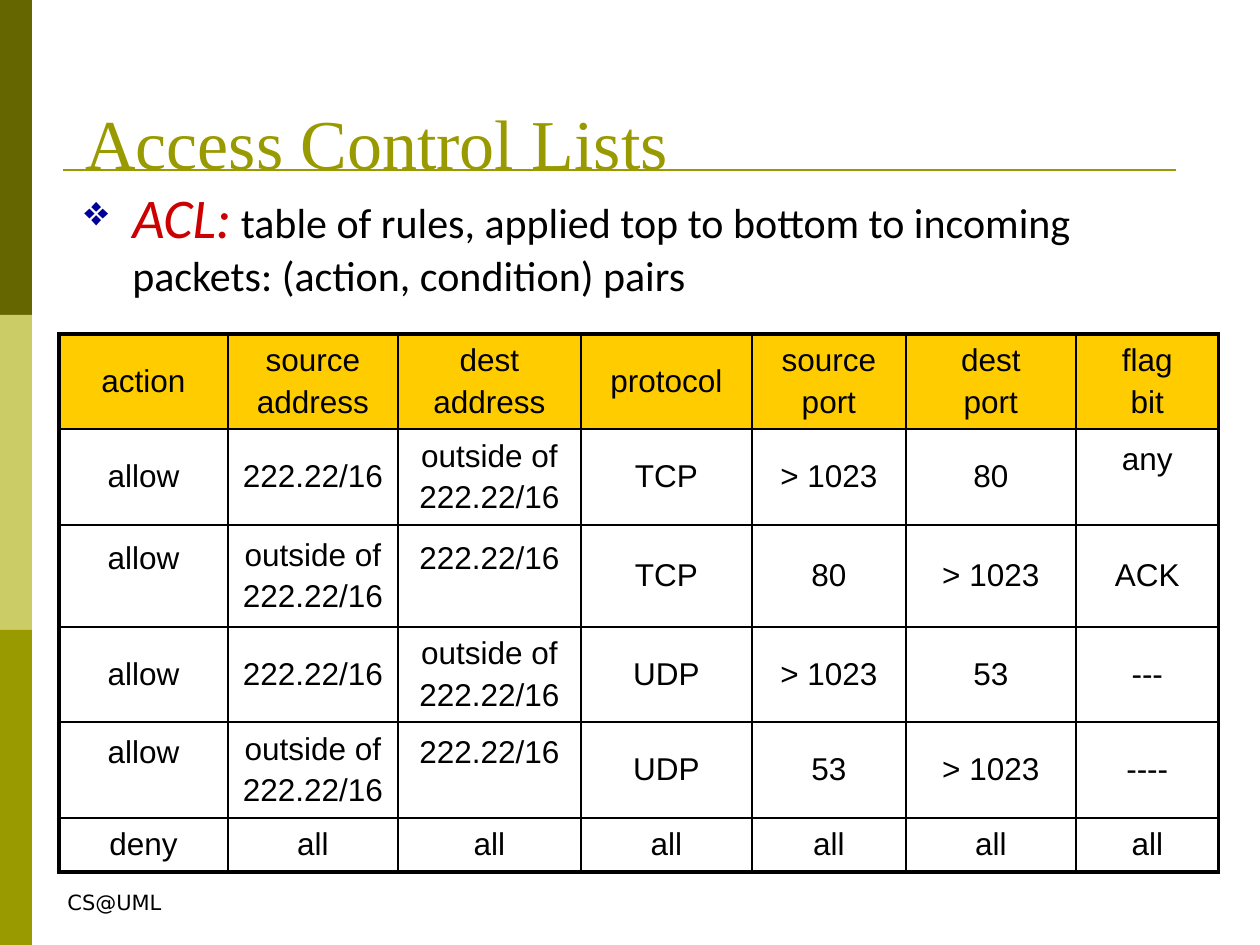
from lxml.etree import SubElement
from pptx import Presentation
from pptx.dml.color import RGBColor
from pptx.enum.shapes import MSO_CONNECTOR, MSO_SHAPE
from pptx.enum.text import MSO_ANCHOR as Anchor, MSO_AUTO_SIZE as AutoSize, PP_ALIGN as Align
from pptx.oxml.ns import qn
from pptx.util import Emu, Pt

# Colours
BLACK = RGBColor(0x00, 0x00, 0x00)
DARK_OLIVE = RGBColor(0x66, 0x66, 0x00)
PALE_OLIVE = RGBColor(0xCC, 0xCC, 0x66)
OLIVE = RGBColor(0x99, 0x99, 0x00)
GOLD = RGBColor(0xFF, 0xCC, 0x00)
RED = RGBColor(0xCC, 0x00, 0x00)
NAVY = RGBColor(0x00, 0x00, 0x99)

# Content
TITLE = "Access Control Lists"
TERM = "ACL:"
DEFINITION = "table of rules, applied top to bottom to incoming packets: (action, condition) pairs"
FOOTER = "CS@UML"
INSIDE = "222.22/16"
OUTSIDE = "outside of\n222.22/16"
RULES = [
    ["action", "source\naddress", "dest\naddress", "protocol", "source\nport", "dest\nport", "flag\nbit"],
    ["allow", INSIDE, OUTSIDE, "TCP", "> 1023", "80", "any"],
    ["allow", OUTSIDE, INSIDE, "TCP", "80", "> 1023", "ACK"],
    ["allow", INSIDE, OUTSIDE, "UDP", "> 1023", "53", "---"],
    ["allow", OUTSIDE, INSIDE, "UDP", "53", "> 1023", "----"],
    ["deny"] + ["all"] * 6,
]
RAISED = {(1, 6), (2, 0), (2, 2), (4, 0), (4, 2)}  # cells whose text sits above the middle

# Layout in px
PX = 914400 / 126
WIDTH, HEIGHT = 1260, 945
SIDEBAR = [DARK_OLIVE, PALE_OLIVE, OLIVE]
SIDEBAR_WIDTH = 32
TABLE_LEFT, TABLE_TOP = 59, 334
COLUMNS = [169, 170, 183, 171, 154, 170, 143]
ROWS = [95, 96, 102, 95, 96, 54]
RAISED_MARGIN = 42
INDENT = 48

# Text formats
TITLE_FONT = {"name": "Times New Roman", "size": Pt(40)}
TERM_FONT = {"name": "Calibri", "size": Pt(32), "italic": True}
BODY_FONT = {"name": "Calibri", "size": Pt(24)}
FOOTER_FONT = {"name": "DejaVu Sans", "size": Pt(12)}
CELL_FONT = {"name": "Arial", "size": Pt(18)}


def px(length):
    return Emu(round(length * PX))


def add_span(para, text, formats, colour=BLACK):
    span = para.add_run()
    span.text = text
    for name, value in formats.items():
        setattr(span.font, name, value)
    span.font.color.rgb = colour


def add_box(page, left, top, width, height, wrap=True):
    box = page.shapes.add_textbox(px(left), px(top), px(width), px(height))
    box.text_frame.word_wrap = wrap
    return box.text_frame


def set_borders(cell, widths):
    properties = cell._tc.get_or_add_tcPr()
    for side, width in widths.items():
        line = SubElement(properties, qn(f"a:ln{side}"), w=str(Pt(width)))
        fill = SubElement(line, qn("a:solidFill"))
        SubElement(fill, qn("a:srgbClr"), val=str(BLACK))


def add_sidebar_and_rule(page):
    band = HEIGHT // len(SIDEBAR)
    for index, colour in enumerate(SIDEBAR):
        block = page.shapes.add_shape(
            MSO_SHAPE.RECTANGLE, 0, px(index * band), px(SIDEBAR_WIDTH), px(band))
        block.shadow.inherit = False
        block.fill.solid()
        block.fill.fore_color.rgb = colour
        block.line.fill.background()
    rule = page.shapes.add_connector(MSO_CONNECTOR.STRAIGHT, px(63), px(170), px(1176), px(170))
    rule.line.color.rgb = OLIVE
    rule.line.width = Pt(1.5)
    SubElement(rule._element.spPr, qn("a:effectLst"))


def add_rules_table(page):
    table = page.shapes.add_table(
        len(ROWS), len(COLUMNS), px(TABLE_LEFT), px(TABLE_TOP), px(sum(COLUMNS)), px(sum(ROWS))).table
    table.first_row = table.horz_banding = False
    for column, width in zip(table.columns, COLUMNS):
        column.width = px(width)
    for row, height in zip(table.rows, ROWS):
        row.height = px(height)
    last_row, last_column = len(ROWS) - 1, len(COLUMNS) - 1
    for r, texts in enumerate(RULES):
        for c, text in enumerate(texts):
            cell = table.cell(r, c)
            outer = {"L": c == 0, "R": c == last_column, "T": r == 0, "B": r == last_row}
            set_borders(cell, {side: 2.25 if edge else 1 for side, edge in outer.items()})
            if r == 0:
                cell.fill.solid()
                cell.fill.fore_color.rgb = GOLD
            else:
                cell.fill.background()
            cell.vertical_anchor = Anchor.MIDDLE
            if (r, c) in RAISED:
                cell.margin_bottom = px(RAISED_MARGIN)
            frame = cell.text_frame
            for index, line in enumerate(text.split("\n")):
                para = frame.add_paragraph() if index else frame.paragraphs[0]
                para.alignment = Align.CENTER
                if index:
                    para.space_before = Pt(3.6)
                add_span(para, line, CELL_FONT)


def add_definition(page):
    para = add_box(page, 72, 176, 1071, 140).paragraphs[0]
    properties = para._p.get_or_add_pPr()
    properties.set("marL", str(px(INDENT)))
    properties.set("indent", str(-px(INDENT)))
    colour = SubElement(properties, qn("a:buClr"))
    SubElement(colour, qn("a:srgbClr"), val=str(NAVY))
    SubElement(properties, qn("a:buSzPct"), val="75000")
    SubElement(properties, qn("a:buChar"), char="❖")
    add_span(para, TERM, TERM_FONT, RED)
    add_span(para, " ", BODY_FONT, RED)
    add_span(para, DEFINITION, BODY_FONT)


def main():
    deck = Presentation()
    deck.slide_width, deck.slide_height = px(WIDTH), px(HEIGHT)
    page = deck.slides.add_slide(deck.slide_layouts[6])
    add_sidebar_and_rule(page)

    # Footer
    footer = add_box(page, 55, 883, 120, 38, wrap=False)
    footer.auto_size = AutoSize.SHAPE_TO_FIT_TEXT
    add_span(footer.paragraphs[0], FOOTER, FOOTER_FONT)

    add_rules_table(page)

    # Title
    title = add_box(page, 73, 32, 1071, 158)
    title.vertical_anchor = Anchor.BOTTOM
    add_span(title.paragraphs[0], TITLE, TITLE_FONT, OLIVE)

    add_definition(page)
    deck.save("out.pptx")


if __name__ == "__main__":
    main()
